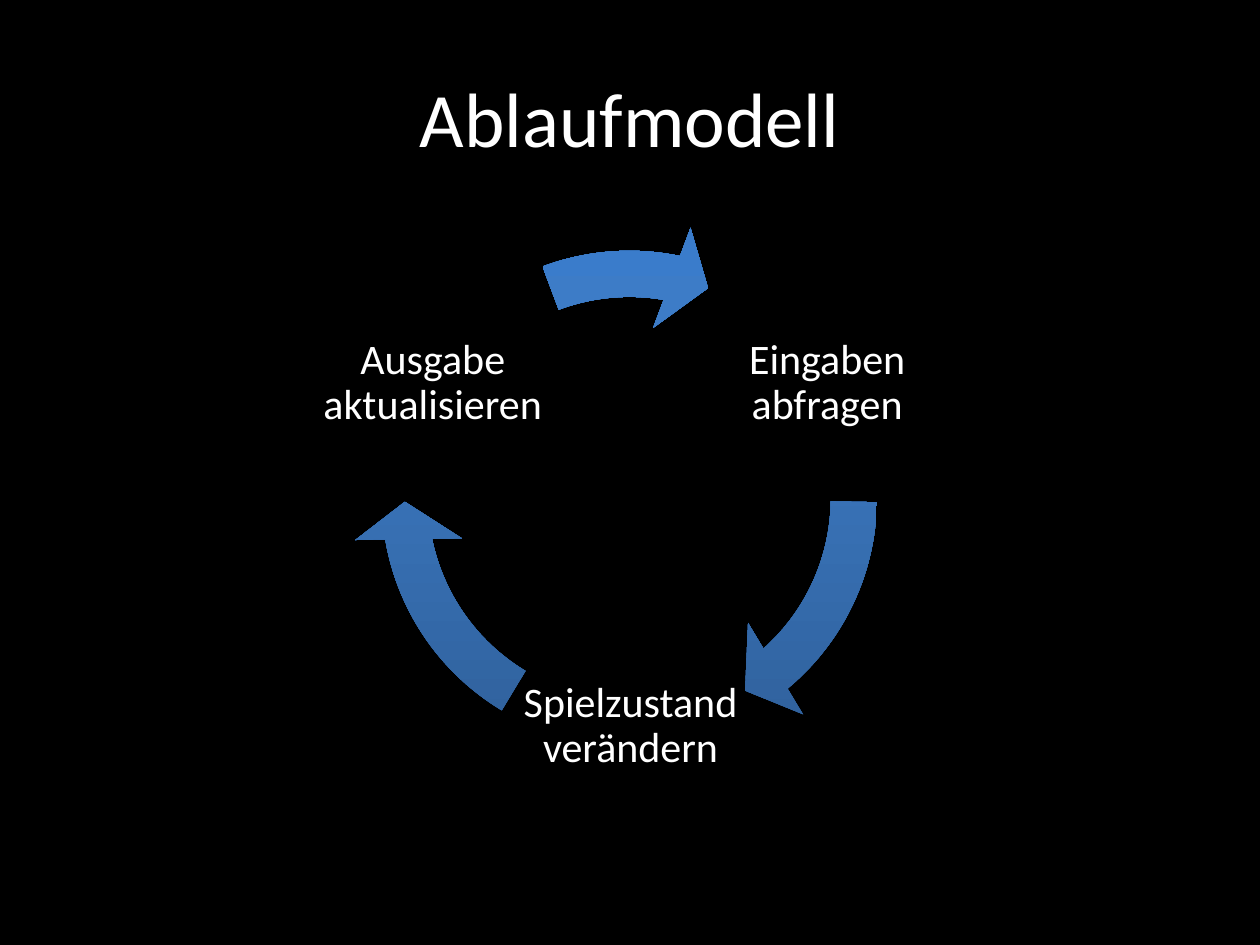
from copy import deepcopy

from pptx import Presentation
from pptx.dml.color import RGBColor
from pptx.enum.shapes import MSO_SHAPE
from pptx.enum.text import MSO_ANCHOR, PP_ALIGN
from pptx.util import Inches, Pt

COLORS = {"background": "000000", "text": "FFFFFF"}
GRADIENT = [(0, "2F5F99"), (0.8, "3D7CC7"), (1, "3A7CCB")]
FONT = "Calibri"

LABEL_SIZE = 1.87
LABELS = [
    ("Eingaben abfragen", 5.63, 2.11),
    ("Spielzustand verändern", 4.07, 4.83),
    ("Ausgabe aktualisieren", 2.5, 2.11),
]

# Start and end of each arrow in degrees, clockwise from the right
RING = (2.79, 1.75, 4.41, 4.41)
ARROWS = [(0.89, 49.36), (121.03, 169.5), (249.48, 280.91)]
THICKNESS, HEAD_ANGLE, HEAD_WIDTH = 0.083, 9.61, 0.096


def angle_adjustment(degrees):
    """Convert degrees to the scale that shape adjustments use."""
    return degrees * 0.6


def write_text(frame, text, size, spacing=1.0, margin=None):
    frame.word_wrap = True
    frame.vertical_anchor = MSO_ANCHOR.MIDDLE
    if margin is not None:
        frame.margin_left = frame.margin_right = Inches(margin)
        frame.margin_top = frame.margin_bottom = Inches(margin)
    paragraph = frame.paragraphs[0]
    paragraph.alignment = PP_ALIGN.CENTER
    paragraph.line_spacing = spacing
    run = paragraph.add_run()
    run.text = text
    run.font.name = FONT
    run.font.size = Pt(size)
    run.font.color.rgb = RGBColor.from_string(COLORS["text"])


class CycleSlide:
    def __init__(self, presentation):
        self.slide = presentation.slides.add_slide(presentation.slide_layouts[5])
        fill = self.slide.background.fill
        fill.solid()
        fill.fore_color.rgb = RGBColor.from_string(COLORS["background"])

    def title(self, text, left, top, width, height):
        title = self.slide.shapes.title
        title.left, title.top = Inches(left), Inches(top)
        title.width, title.height = Inches(width), Inches(height)
        write_text(title.text_frame, text, size=44)

    def label(self, text, left, top):
        box = self.slide.shapes.add_textbox(
            Inches(left), Inches(top), Inches(LABEL_SIZE), Inches(LABEL_SIZE))
        write_text(box.text_frame, text, size=24, spacing=0.9, margin=0.03)

    def arrow(self, start, end):
        arrow = self.slide.shapes.add_shape(
            MSO_SHAPE.CIRCULAR_ARROW, *map(Inches, RING))
        values = (THICKNESS, angle_adjustment(HEAD_ANGLE), angle_adjustment(end),
                  angle_adjustment(start), HEAD_WIDTH)
        for index, value in enumerate(values):
            arrow.adjustments[index] = value
        arrow.shadow.inherit = False
        arrow.line.fill.background()
        self.gradient(arrow)

    def gradient(self, shape):
        shape.fill.gradient()
        shape.fill.gradient_angle = 90
        # A new gradient has two stops; add the third
        stop_list = shape.element.spPr.find(".//{*}gsLst")
        stop_list.append(deepcopy(stop_list[-1]))
        for stop, (position, color) in zip(shape.fill.gradient_stops, GRADIENT):
            stop.position = position
            stop.color.rgb = RGBColor.from_string(color)


def main():
    presentation = Presentation()
    presentation.slide_width = Inches(10)
    presentation.slide_height = Inches(7.5)

    cycle = CycleSlide(presentation)
    cycle.title("Ablaufmodell", 0.5, 0.3, 9, 1.25)

    # Each step is followed by its arrow
    for label, arrow in zip(LABELS, ARROWS):
        cycle.label(*label)
        cycle.arrow(*arrow)

    presentation.save("out.pptx")


if __name__ == "__main__":
    main()
